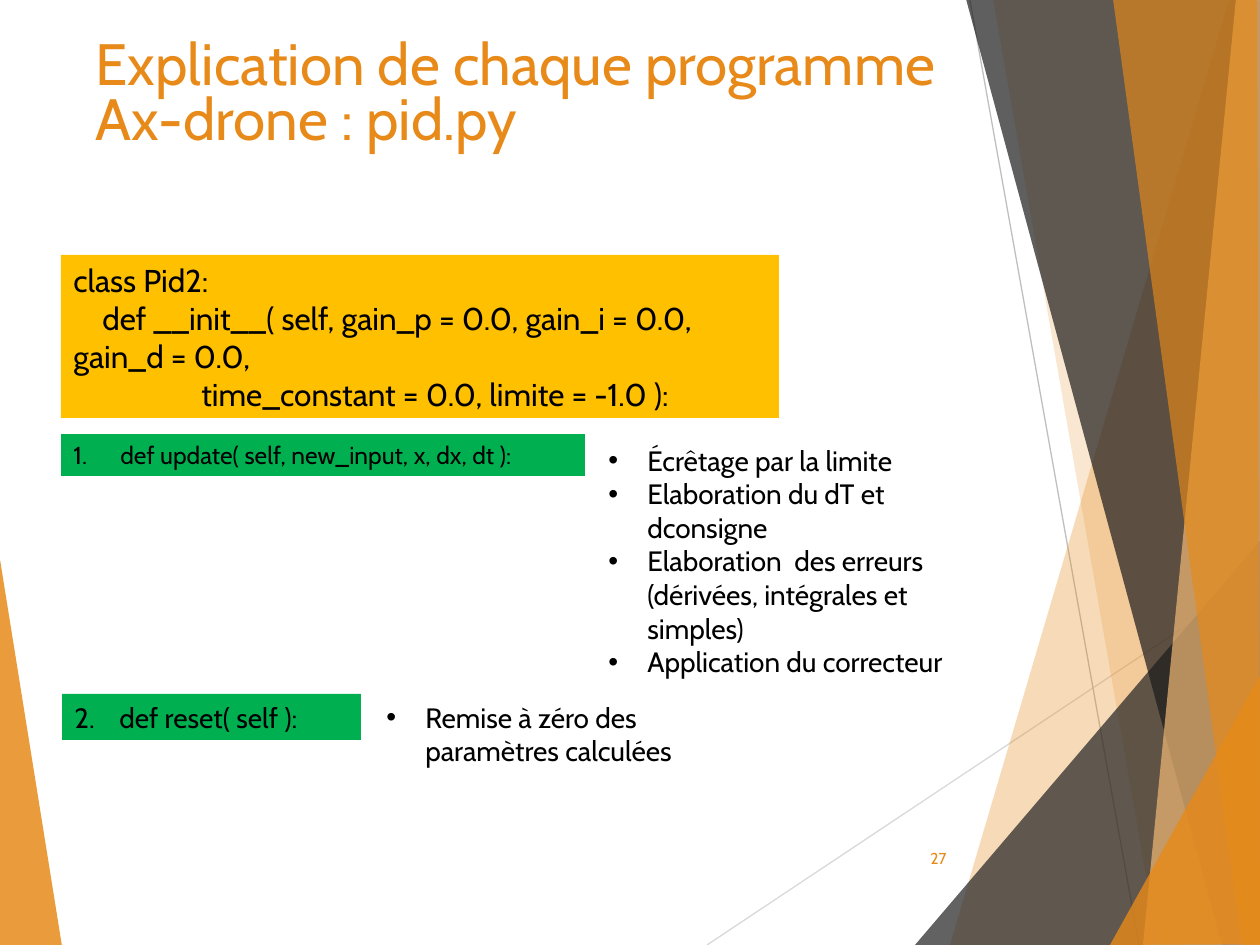
from lxml import etree
from pptx import Presentation
from pptx.dml.color import RGBColor
from pptx.enum.shapes import MSO_CONNECTOR, MSO_SHAPE
from pptx.enum.text import MSO_ANCHOR, PP_ALIGN
from pptx.oxml.ns import qn
from pptx.util import Pt

PX = 914400 / 126
WIDTH, HEIGHT = 1260, 945
FONT = "Cabin"
ORANGE, BLACK, YELLOW, GREEN = "E78A19", "000000", "FFC000", "00B050"
STRAIGHT, RECT = MSO_CONNECTOR.STRAIGHT, MSO_SHAPE.RECTANGLE
LEFT, RIGHT = PP_ALIGN.LEFT, PP_ALIGN.RIGHT
TOP, MIDDLE = MSO_ANCHOR.TOP, MSO_ANCHOR.MIDDLE

TITLE = "Explication de chaque programme\vAx-drone : pid.py"
TITLE_PLACE = (83, 34, 875, 181)

# from, to, colour
RAYS = [
    ((707, 945), (1261, 576), "D9D9D9"),
    ((970, 0), (1139, 945), "BFBFBF"),
]
# colour, opacity in percent, corners
SHARDS = [
    (ORANGE, 85, [(-1, 553), (62, 946), (-1, 945)]),
    (ORANGE, 30, [(1229, 0), (950, 945), (1262, 946), (1261, 1)]),
    (ORANGE, 20, [(993, -1), (1158, 945), (1261, 945), (1261, -1)]),
    ("262626", 72, [(915, 945), (1260, 541), (1261, 945)]),
    ("1C1C1C", 70, [(966, -1), (1222, 945), (1261, 944), (1261, -1)]),
    ("F1B975", 70, [(1236, -1), (1143, 945), (1261, 945), (1260, -1)]),
    (ORANGE, 65, [(1113, -1), (1242, 945), (1260, 945), (1257, -1)]),
    (ORANGE, 80, [(1110, 945), (1261, 674), (1261, 944)]),
]

# text, first-line indent
CLASS_LINES = [
    ("class Pid2:", 0),
    ("def __init__( self, gain_p = 0.0, gain_i = 0.0, gain_d = 0.0,", 29),
    ("time_constant = 0.0, limite = -1.0 ):", 128),
]
# method number, text, size, hanging indent, place
METHODS = [
    (1, "def update( self, new_input, x, dx, dt ):", 14, 47, (61, 434, 524, 42)),
    (2, "def reset( self ):", 16, 45, (62, 694, 299, 46)),
]
# place, bullet texts
NOTES = [
    ((596, 437, 426, 247), [
        "Écrêtage par la limite",
        "Elaboration du dT et dconsigne",
        "Elaboration  des erreurs (dérivées, intégrales et simples)",
        "Application du correcteur",
    ]),
    ((374, 694, 318, 113), ["Remise à zéro des paramètres calculées"]),
]
PAGE, PAGE_PLACE = "27", (888, 833, 71, 50)


def px(n):
    return round(n * PX)


def rgb(color):
    return RGBColor.from_string(color)


def place(sp, box):
    sp.left, sp.top, sp.width, sp.height = map(px, box)


def paint(sp, color, opacity=100):
    sp.shadow.inherit = False
    sp.line.fill.background()
    sp.fill.solid()
    sp.fill.fore_color.rgb = rgb(color)
    if opacity < 100:
        clr = sp.element.spPr.find(".//" + qn("a:srgbClr"))
        etree.SubElement(clr, qn("a:alpha"), val=str(opacity * 1000))


def add_ray(s, start, end, color):
    ray = s.shapes.add_connector(STRAIGHT, *map(px, start + end))
    ray.line.color.rgb = rgb(color)
    ray.line.width = Pt(0.75)
    etree.SubElement(ray.element.spPr, qn("a:effectLst"))


def add_shard(s, color, opacity, corners):
    builder = s.shapes.build_freeform(*corners[0], scale=PX)
    builder.add_line_segments(corners[1:], close=True)
    paint(builder.convert_to_shape(), color, opacity)


def add_box(s, box, fill=None):
    if fill:
        sp = s.shapes.add_shape(RECT, *map(px, box))
        paint(sp, fill)
    else:
        sp = s.shapes.add_textbox(*map(px, box))
    return sp


def write(sp, texts, size, color=BLACK, align=LEFT, anchor=TOP, spacing=None,
          margin=0, indents=None, bullet=None, number=None):
    """Fill a shape with one paragraph per text; margin and indents are in px."""
    tf = sp.text_frame
    tf.word_wrap = True
    tf.vertical_anchor = anchor
    for i, text in enumerate(texts):
        p = tf.paragraphs[0] if i == 0 else tf.add_paragraph()
        p.text = text
        p.alignment = align
        if spacing:
            p.line_spacing = spacing
        for r in p.runs:
            r.font.name, r.font.size = FONT, Pt(size)
            r.font.color.rgb = rgb(color)
        pPr = p._p.get_or_add_pPr()
        pPr.set("marL", str(px(margin)))
        pPr.set("indent", str(px(indents[i] if indents else -margin)))
        if bullet:
            etree.SubElement(pPr, qn("a:buFont"), typeface="Arial")
            etree.SubElement(pPr, qn("a:buChar"), char=bullet)
        elif number:
            etree.SubElement(pPr, qn("a:buFont"), typeface=FONT)
            etree.SubElement(pPr, qn("a:buAutoNum"), type="arabicPeriod",
                             startAt=str(number + i))


def main():
    prs = Presentation()
    prs.slide_width, prs.slide_height = px(WIDTH), px(HEIGHT)
    s = prs.slides.add_slide(prs.slide_layouts[5])

    title = s.shapes.title
    place(title, TITLE_PLACE)
    write(title, [TITLE], 33.3, color=ORANGE, spacing=0.8)

    first, *others = SHARDS
    add_shard(s, *first)
    for ray in RAYS:
        add_ray(s, *ray)
    for shard in others:
        add_shard(s, *shard)

    lines, indents = zip(*CLASS_LINES)
    write(add_box(s, (61, 255, 718, 163), YELLOW), lines, 18, indents=indents)
    for number, text, size, margin, box in METHODS:
        write(add_box(s, box, GREEN), [text], size, margin=margin, number=number)
    for box, texts in NOTES:
        write(add_box(s, box), texts, 16, margin=39, bullet="•")
    write(add_box(s, PAGE_PLACE), [PAGE], 9, color=ORANGE, align=RIGHT, anchor=MIDDLE)

    prs.save("out.pptx")


if __name__ == "__main__":
    main()
